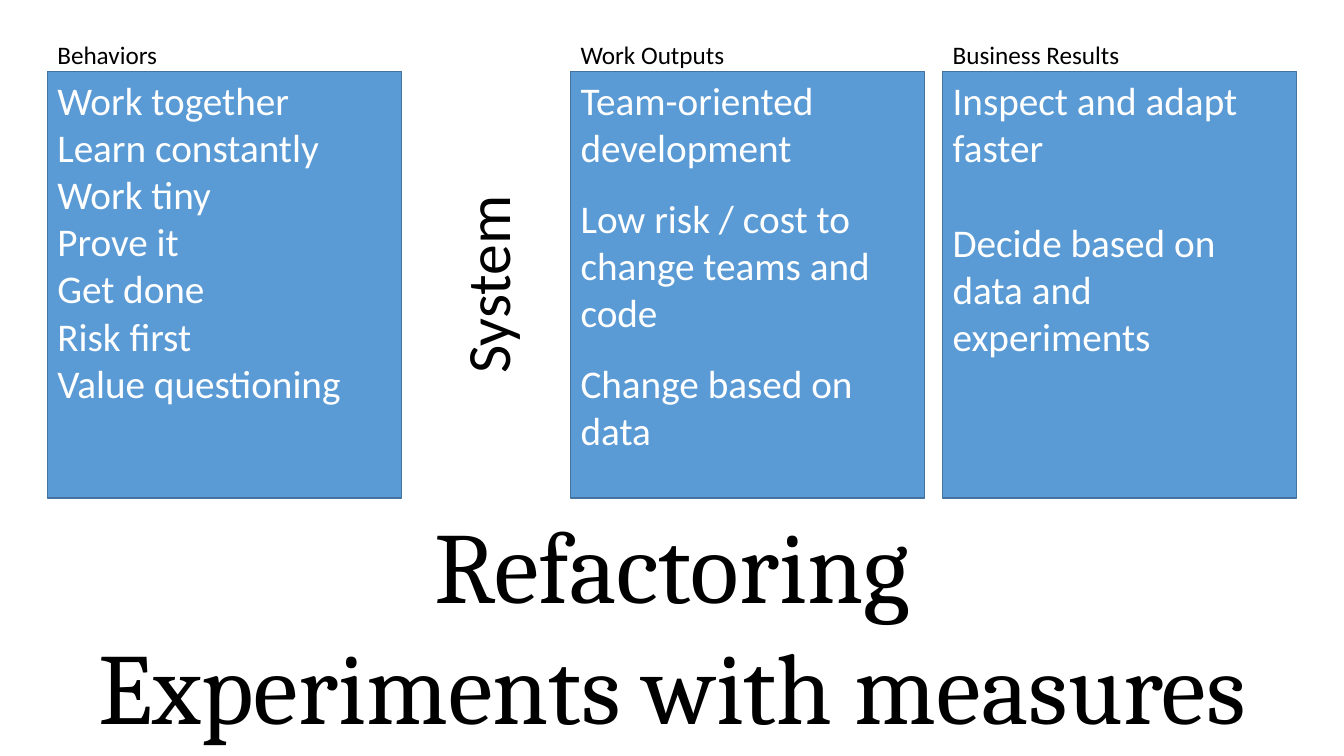
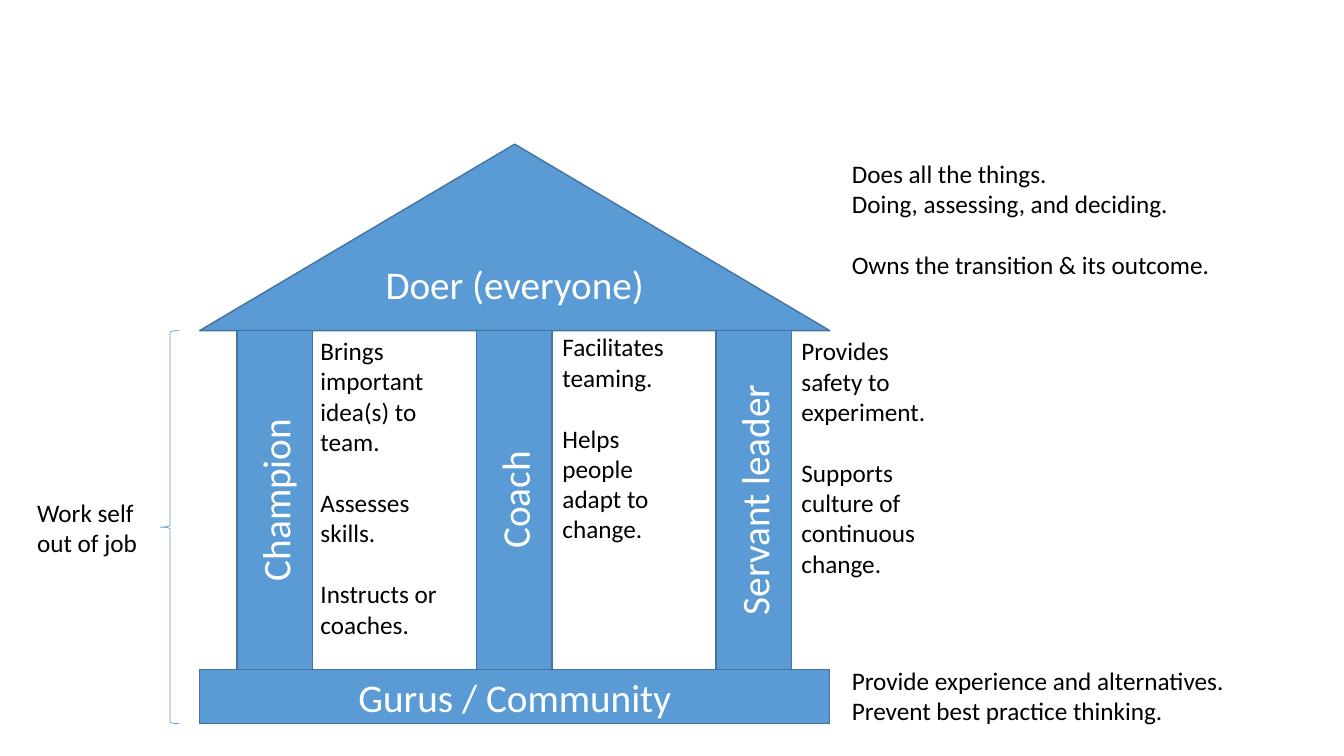
from dataclasses import dataclass

from pptx import Presentation
from pptx.dml.color import RGBColor
from pptx.enum.shapes import MSO_SHAPE as Shape
from pptx.enum.text import MSO_ANCHOR as Anchor, MSO_AUTO_SIZE as AutoSize, PP_ALIGN as Align
from pptx.util import Inches, Pt


@dataclass(frozen=True)
class Theme:
    fill: RGBColor = RGBColor(0x5B, 0x9B, 0xD5)
    edge: RGBColor = RGBColor(0x43, 0x73, 0x9E)
    light: RGBColor = RGBColor(0xFF, 0xFF, 0xFF)
    dark: RGBColor = RGBColor(0, 0, 0)
    body_font: str = "Calibri"
    title_font: str = "Cambria"
    note: int = 18
    body: int = 28
    system: int = 44
    title: int = 72
    line_height: float = 1.22


THEME = Theme()
NOTE_GAP = THEME.note * THEME.line_height
BODY_GAP = THEME.body * THEME.line_height

# Text is a list of groups; each group is a list of paragraphs.
TITLE = [["Refactoring", "Experiments with measures"]]
# heading, left edge, gap between groups in points, text
COLUMNS = [
    ("Behaviors", 0.47, 0, [["Work together", "Learn constantly", "Work tiny", "Prove it",
                             "Get done", "Risk first", "Value questioning"]]),
    ("Work Outputs", 5.66, BODY_GAP / 2, [["Team-oriented development"],
                                          ["Low risk / cost to change teams and code"],
                                          ["Change based on data"]]),
    ("Business Results", 9.35, BODY_GAP, [["Inspect and adapt faster"],
                                          ["Decide based on data and experiments"]]),
]
# role, then the place and text of its note
PILLARS = [
    ("Champion", (3.08, 3.28, 1.41, 3.13), [["Brings important idea(s) to team."],
                                            ["Assesses skills."], ["Instructs or coaches."]]),
    ("Coach", (5.48, 3.24, 1.41, 2.22), [["Facilitates teaming."],
                                         ["Helps people adapt to change."]]),
    ("Servant leader", (7.85, 3.28, 1.62, 2.52), [["Provides safety to experiment."],
                                                  ["Supports culture of continuous change."]]),
]
SIDE_NOTES = [
    ((8.35, 1.52, 3.91, 1.31), [["Does all the things.", "Doing, assessing, and deciding."],
                                ["Owns the transition & its outcome."]]),
    ((8.35, 6.55, 4.39, 0.71), [["Provide experience and alternatives.",
                                 "Prevent best practice thinking."]]),
    ((0.27, 4.88, 1.24, 0.71), [["Work self", "out of job"]]),
]


def inches(place):
    return [Inches(length) for length in place]


def write(box, groups, size, color, font=THEME.body_font, gap=0,
          align=Align.LEFT, anchor=Anchor.TOP, upward=False):
    """Fill a shape with groups of paragraphs, with a gap in points between groups."""
    frame = box.text_frame
    frame.word_wrap = True
    frame.auto_size = AutoSize.NONE
    frame.vertical_anchor = anchor
    if upward:
        box.element.txBody.bodyPr.set("vert", "vert270")
    para = None
    for group_index, group in enumerate(groups):
        for line_index, line in enumerate(group):
            para = frame.add_paragraph() if para else frame.paragraphs[0]
            para.alignment = align
            if group_index and not line_index:
                para.space_before = Pt(round(gap))
            span = para.add_run()
            span.text = line
            span.font.name = font
            span.font.size = Pt(size)
            span.font.color.rgb = color


def add_block(page, kind, place):
    box = page.shapes.add_shape(kind, *inches(place))
    box.shadow.inherit = False
    box.fill.solid()
    box.fill.fore_color.rgb = THEME.fill
    box.line.color.rgb = THEME.edge
    box.line.width = Pt(1)
    return box


def add_label(page, kind, place, text, upward=False):
    """Add a filled shape with one centred line of text."""
    write(add_block(page, kind, place), [[text]], THEME.body, THEME.light,
          align=Align.CENTER, anchor=Anchor.MIDDLE, upward=upward)


def add_note(page, place, groups):
    box = page.shapes.add_textbox(*inches(place))
    write(box, groups, THEME.note, THEME.dark, gap=NOTE_GAP)


def build_refactoring(deck):
    page = deck.slides.add_slide(deck.slide_layouts[5])
    top, width, height = 0.71, 3.51, 4.23
    for heading, left, gap, groups in COLUMNS:
        column = add_block(page, Shape.RECTANGLE, (left, top, width, height))
        write(column, groups, THEME.body, THEME.light, gap=gap)
        add_note(page, (left, 0.34, width, 0.4), [[heading]])

    system = page.shapes.add_textbox(*inches((4.35, top, 0.94, height)))
    write(system, [["System"]], THEME.system, THEME.dark,
          align=Align.CENTER, anchor=Anchor.MIDDLE, upward=True)

    title = page.shapes.title
    title.left, title.top, title.width, title.height = inches((0.47, top + height, 12.39, 2.52))
    write(title, TITLE, THEME.title, THEME.dark, THEME.title_font, align=Align.CENTER)


def build_roles(deck):
    page = deck.slides.add_slide(deck.slide_layouts[6])
    left, width = 1.98, 6.25
    roof_top, pillar_top, base_top, base_height = 1.43, 3.28, 6.64, 0.54
    add_label(page, Shape.ISOSCELES_TRIANGLE,
              (left, roof_top, width, pillar_top - roof_top), "Doer (everyone)")
    pillar_width, pitch = 0.75, 2.375
    for index, (role, note_place, note) in enumerate(PILLARS):
        place = (2.35 + index * pitch, pillar_top, pillar_width, base_top - pillar_top)
        add_label(page, Shape.RECTANGLE, place, role, upward=True)
        add_note(page, note_place, note)
    add_label(page, Shape.RECTANGLE, (left, base_top, width, base_height), "Gurus / Community")

    for place, groups in SIDE_NOTES:
        add_note(page, place, groups)

    brace = add_block(page, Shape.LEFT_BRACE,
                      (1.59, pillar_top, 0.19, base_top + base_height - pillar_top))
    brace.fill.background()
    brace.line.color.rgb = THEME.fill
    brace.line.width = Pt(0.5)


def main():
    deck = Presentation()
    deck.slide_width, deck.slide_height = inches((13.33, 7.5))
    build_refactoring(deck)
    build_roles(deck)
    deck.save("out.pptx")


if __name__ == "__main__":
    main()
